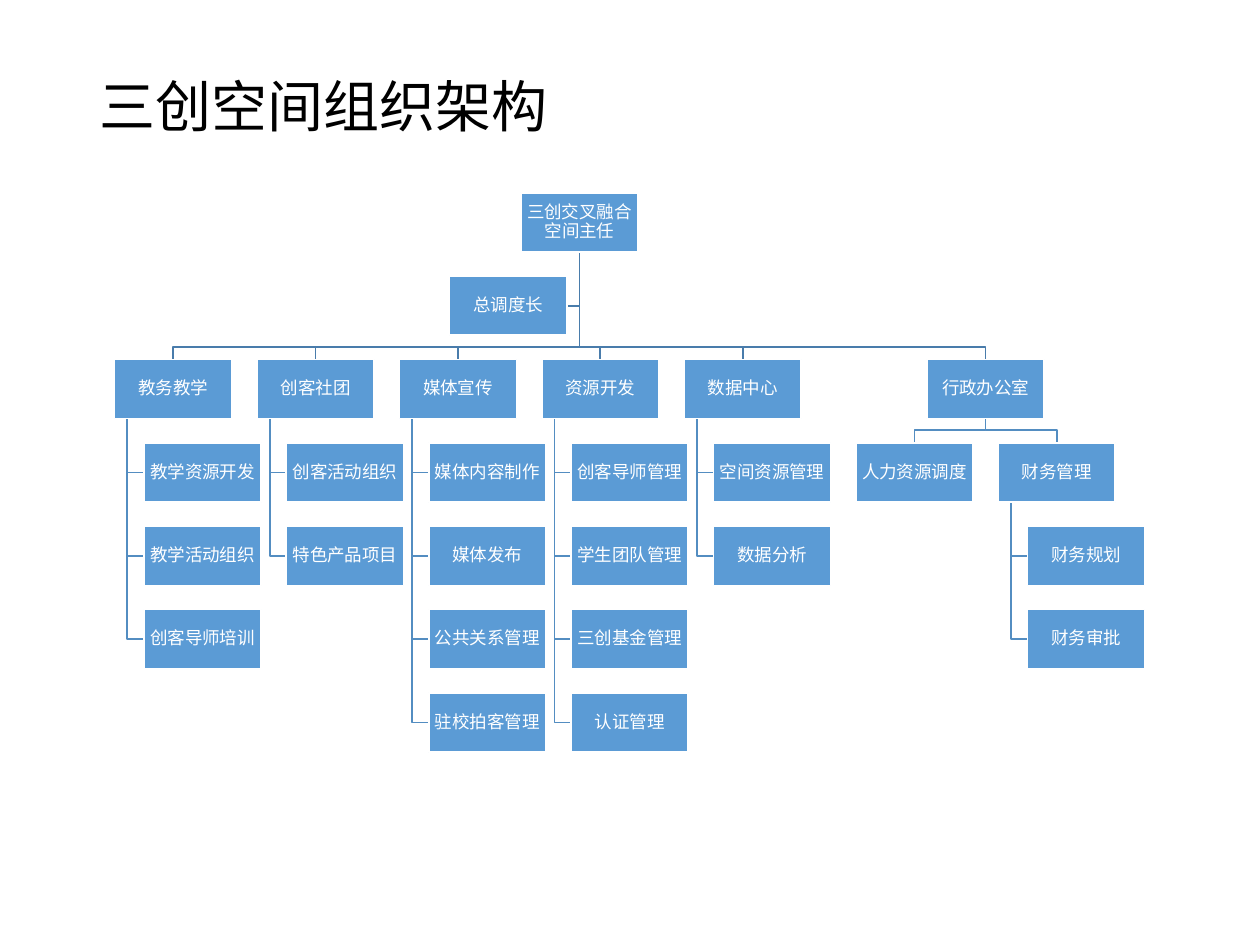
from dataclasses import dataclass

from pptx import Presentation
from pptx import util as u
from pptx.dml import color
from pptx.enum import shapes, text


@dataclass(frozen=True)
class Theme:
    font: str = "Calibri"
    title_size: int = 32
    post_size: int = 10
    ink: str = "000000"
    paper: str = "FFFFFF"
    post: str = "5B9BD5"
    upper_line: str = "497CAB"
    lower_line: str = "538DC1"


@dataclass(frozen=True)
class Post:
    name: str
    left: float
    row: int

    @property
    def top(self):
        return TOP + self.row * ROW_PITCH

    @property
    def bottom(self):
        return self.top + HEIGHT

    @property
    def center(self):
        return self.left + WIDTH / 2

    @property
    def middle(self):
        return self.top + HEIGHT / 2


WIDTH, HEIGHT = 0.93, 0.47
LEFT, TOP = 0.91, 1.53
COLUMN_PITCH = 1.13
ROW_PITCH = (5.5 - TOP) / 6
INDENT = WIDTH / 4
GAP = 0.1

DEPARTMENTS = [
    ("教务教学", ["教学资源开发", "教学活动组织", "创客导师培训"]),
    ("创客社团", ["创客活动组织", "特色产品项目"]),
    ("媒体宣传", ["媒体内容制作", "媒体发布", "公共关系管理", "驻校拍客管理"]),
    ("资源开发", ["创客导师管理", "学生团队管理", "三创基金管理", "认证管理"]),
    ("数据中心", ["空间资源管理", "数据分析"]),
]


class OrgChart:
    """Draws the title, posts and reporting lines of one slide."""

    def __init__(self, slide, theme):
        self.slide = slide
        self.theme = theme

    def style(self, paragraph, size, ink):
        paragraph.line_spacing = 0.9
        for run in paragraph.runs:
            run.font.name = self.theme.font
            run.font.size = u.Pt(size)
            run.font.color.rgb = color.RGBColor.from_string(ink)

    def title(self, wording):
        heading = self.slide.shapes.title
        heading.left, heading.top = u.Inches(0.69), u.Inches(0.4)
        heading.width, heading.height = u.Inches(8.62), u.Inches(0.94)
        frame = heading.text_frame
        frame.text = wording
        frame.vertical_anchor = text.MSO_ANCHOR.MIDDLE
        frame.paragraphs[0].alignment = text.PP_ALIGN.LEFT
        self.style(frame.paragraphs[0], self.theme.title_size, self.theme.ink)

    def post(self, post):
        box = self.slide.shapes.add_shape(
            shapes.MSO_SHAPE.RECTANGLE, u.Inches(post.left), u.Inches(post.top),
            u.Inches(WIDTH), u.Inches(HEIGHT))
        box.shadow.inherit = False
        box.fill.solid()
        box.fill.fore_color.rgb = color.RGBColor.from_string(self.theme.post)
        box.line.color.rgb = color.RGBColor.from_string(self.theme.paper)
        box.line.width = u.Pt(1)
        frame = box.text_frame
        frame.text = post.name
        frame.word_wrap = True
        frame.vertical_anchor = text.MSO_ANCHOR.MIDDLE
        frame.margin_left = frame.margin_right = u.Inches(0.01)
        frame.margin_top = frame.margin_bottom = u.Inches(0.01)
        frame.paragraphs[0].alignment = text.PP_ALIGN.CENTER
        self.style(frame.paragraphs[0], self.theme.post_size, self.theme.paper)

    def route(self, points, ink):
        start, *bends = [(u.Inches(x), u.Inches(y)) for x, y in points]
        builder = self.slide.shapes.build_freeform(*start)
        builder.add_line_segments(bends, close=False)
        line = builder.convert_to_shape()
        line.shadow.inherit = False
        line.fill.background()
        line.line.color.rgb = color.RGBColor.from_string(ink)
        line.line.width = u.Pt(1)

    def branch(self, parent, children, ink):
        for child in children:
            bus = child.top - GAP
            self.route([(parent.center, parent.bottom), (parent.center, bus),
                        (child.center, bus), (child.center, child.top)], ink)

    def hang(self, parent, children):
        spine = parent.left + GAP
        for child in children:
            self.route([(spine, parent.bottom), (spine, child.middle),
                        (child.left, child.middle)], self.theme.lower_line)

    def assist(self, parent, assistant):
        self.route([(parent.center, parent.bottom), (parent.center, assistant.middle),
                    (assistant.left + WIDTH, assistant.middle)], self.theme.upper_line)


def hanging(parent, names):
    return [Post(name, parent.left + INDENT, parent.row + step)
            for step, name in enumerate(names, 1)]


def main():
    deck = Presentation()
    deck.slide_width, deck.slide_height = u.Inches(10), u.Inches(7.5)
    theme = Theme()
    chart = OrgChart(deck.slides.add_slide(deck.slide_layouts[5]), theme)
    chart.title("三创空间组织架构")

    heads, teams = [], []
    for column, (name, members) in enumerate(DEPARTMENTS):
        head = Post(name, LEFT + column * COLUMN_PITCH, 2)
        heads.append(head)
        teams.append((head, hanging(head, members)))

    staffing = Post("人力资源调度", LEFT + len(DEPARTMENTS) * COLUMN_PITCH + INDENT, 3)
    finance = Post("财务管理", staffing.left + COLUMN_PITCH, 3)
    office = Post("行政办公室", (staffing.left + finance.left) / 2, 2)
    heads.append(office)
    teams.append((finance, hanging(finance, ["财务规划", "财务审批"])))

    director = Post("三创交叉融合空间主任", (LEFT + office.left) / 2, 0)
    dispatcher = Post("总调度长", director.center - GAP - WIDTH, 1)

    chart.assist(director, dispatcher)
    chart.branch(office, [staffing, finance], theme.lower_line)
    for head, members in teams:
        chart.hang(head, members)
    chart.branch(director, heads, theme.upper_line)

    members = [member for _, team in teams for member in team]
    for post in [director, dispatcher, *heads, staffing, finance, *members]:
        chart.post(post)
    deck.save("out.pptx")


if __name__ == "__main__":
    main()
